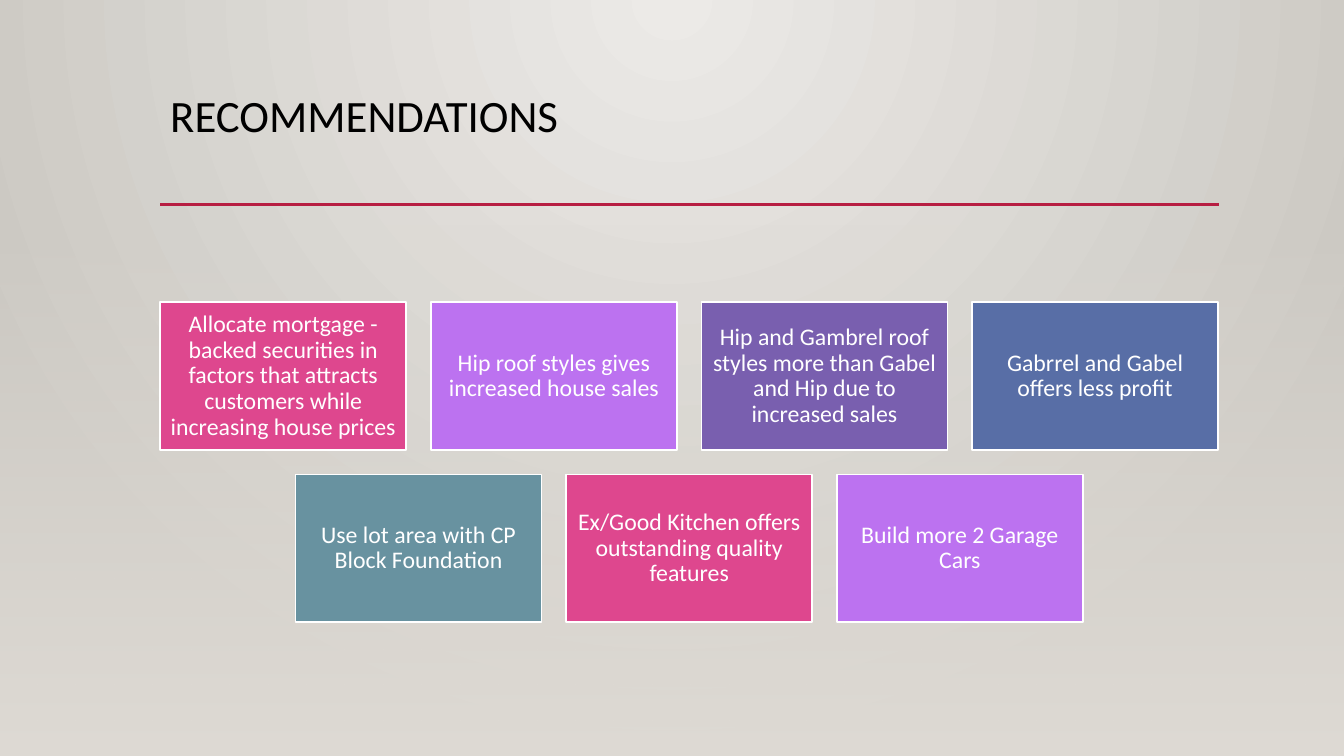
from lxml.etree import SubElement
from pptx import Presentation
from pptx.dml.color import RGBColor
from pptx.enum.shapes import MSO_CONNECTOR as Connector, MSO_SHAPE as Shape
from pptx.enum.text import MSO_ANCHOR as Anchor, PP_ALIGN as Align
from pptx.oxml.ns import qn
from pptx.util import Cm, Pt


def rgb(value):
    return RGBColor.from_string(value)


def write(shape, text, size, color, align, anchor, inset_x, inset_y):
    frame = shape.text_frame
    frame.word_wrap = True
    frame.vertical_anchor = anchor
    frame.margin_left = frame.margin_right = Cm(inset_x)
    frame.margin_top = frame.margin_bottom = Cm(inset_y)
    para = frame.paragraphs[0]
    para.alignment = align
    para.line_spacing = 0.9
    span = para.add_run()
    span.text = text
    span.font.name = "Calibri"
    span.font.size = Pt(size)
    span.font.color.rgb = rgb(color)


deck = Presentation()
deck.slide_width = Cm(33.87)
deck.slide_height = Cm(19.05)
page = deck.slides.add_slide(deck.slide_layouts[5])

backdrop = page.background.fill
backdrop.gradient()
for stop, color in zip(backdrop.gradient_stops, ["ECEAE7", "CAC7C1"]):
    stop.color.rgb = rgb(color)
gradient = page.element.find(".//" + qn("a:gradFill"))
gradient.remove(gradient.find(qn("a:lin")))
radial = SubElement(gradient, qn("a:path"), {"path": "circle"})
SubElement(radial, qn("a:fillToRect"), l="43000", t="0", r="43000", b="100000")

title = page.shapes.title
title.left, title.top = Cm(4.04), Cm(2.24)
title.width, title.height = Cm(26.67), Cm(2.92)
write(title, "RECOMMENDATIONS", 32, "000000", Align.LEFT, Anchor.TOP, 0.25, 0.13)

rule = page.shapes.add_connector(
    Connector.STRAIGHT, Cm(4.04), Cm(5.15), Cm(30.71), Cm(5.15))
rule.line.color.rgb = rgb("B71E42")
rule.line.width = Pt(2.5)
SubElement(rule.element.spPr, qn("a:effectLst"))

floor = page.shapes.add_shape(
    Shape.RECTANGLE, 0, Cm(5.61), deck.slide_width, Cm(13.44))
floor.shadow.inherit = False
floor.line.fill.background()
floor.fill.gradient()
floor.fill.gradient_angle = 270
for stop in floor.fill.gradient_stops:
    stop.color.rgb = rgb("DFDBD5")
clear = floor.element.spPr.find(".//" + qn("a:srgbClr"))
SubElement(clear, qn("a:alpha"), val="0")

card_width, card_height, gap = 6.2, 3.72, 0.62
rows = [
    (4.04, [
        ("Allocate mortgage - backed securities in factors that attracts "
         "customers while increasing house prices", "DE478E"),
        ("Hip roof styles gives increased house sales", "BC72F0"),
        ("Hip and Gambrel roof styles more than Gabel and Hip due to "
         "increased sales", "795FAF"),
        ("Gabrrel and Gabel offers less profit", "586EA6"),
    ]),
    (4.04 + (card_width + gap) / 2, [
        ("Use lot area with CP Block Foundation", "6892A0"),
        ("Ex/Good Kitchen offers outstanding quality features", "DE478E"),
        ("Build more 2 Garage Cars", "BC72F0"),
    ]),
]
for row, (left, cards) in enumerate(rows):
    for column, (text, color) in enumerate(cards):
        card = page.shapes.add_shape(
            Shape.RECTANGLE,
            Cm(left + column * (card_width + gap)),
            Cm(7.62 + row * (card_height + gap)),
            Cm(card_width), Cm(card_height))
        card.shadow.inherit = False
        card.fill.solid()
        card.fill.fore_color.rgb = rgb(color)
        card.line.color.rgb = rgb("FFFFFF")
        card.line.width = Pt(1.25)
        write(card, text, 17, "FFFFFF", Align.CENTER, Anchor.MIDDLE, 0.18, 0.18)

deck.save("out.pptx")
